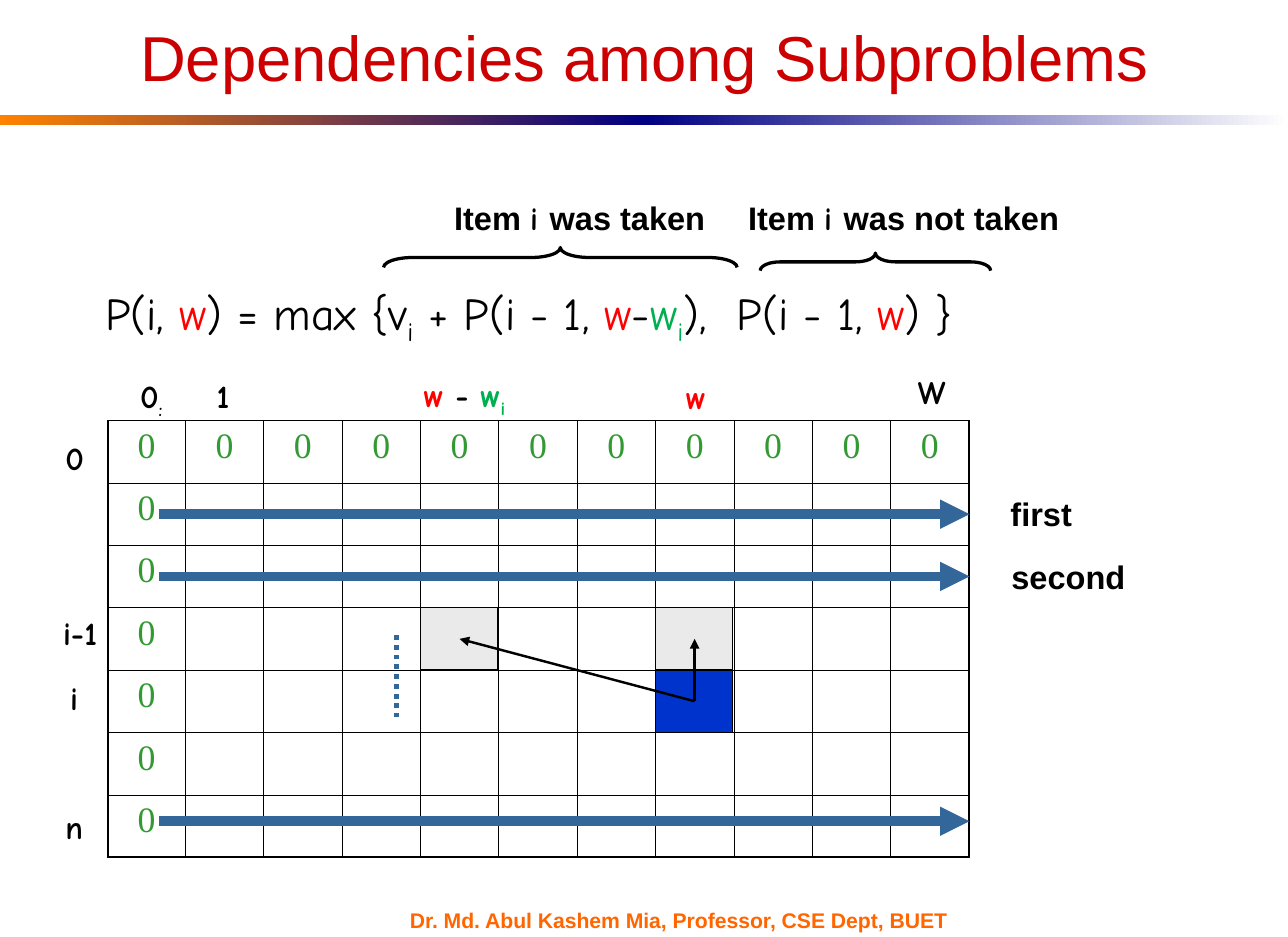
"""Build the slide on dependencies among knapsack subproblems."""
import pptx
import pptx.util
import pptx.dml.color
import pptx.enum.dml
import pptx.enum.shapes
import pptx.enum.text
import pptx.oxml.ns
import lxml.etree

Cm, Pt = pptx.util.Cm, pptx.util.Pt
RGB = pptx.dml.color.RGBColor
SHAPE = pptx.enum.shapes.MSO_SHAPE
ANCHOR = pptx.enum.text.MSO_ANCHOR
ALIGN = pptx.enum.text.PP_ALIGN

BLACK = RGB(0x00, 0x00, 0x00)
WHITE = RGB(0xFF, 0xFF, 0xFF)
RED = RGB(0xFF, 0x00, 0x00)
TITLE_RED = RGB(0xCC, 0x00, 0x00)
GREEN = RGB(0x00, 0xB0, 0x50)
ZERO_GREEN = RGB(0x33, 0x99, 0x33)
ORANGE = RGB(0xFF, 0x66, 0x00)
BAR_ORANGE = RGB(0xFF, 0x82, 0x00)
NAVY = RGB(0x00, 0x00, 0x82)
STEEL = RGB(0x33, 0x66, 0x99)
BLUE = RGB(0x00, 0x33, 0xCC)
GREY = RGB(0xEA, 0xEA, 0xEA)

HAND = dict(name="Comic Neue", size=Pt(20), bold=True, color=BLACK)
SANS = {**HAND, "name": "Arial"}
FORMULA = {**HAND, "size": Pt(28), "bold": False}
FOOTER = {**SANS, "size": Pt(13), "color": ORANGE}
ZERO = dict(name="Times New Roman", size=Pt(22), bold=False, color=ZERO_GREEN)
TITLE = dict(name="Arial", size=Pt(39), bold=False, color=TITLE_RED)

W_RED = ("w", dict(color=RED))
W_GREEN = ("w", dict(color=GREEN))
SUB_GREEN = ("i", dict(color=GREEN, sub=True))
ITEM = [("Item ", {}), ("i ", dict(name="Comic Neue"))]

LABELS = [
    (2.79, 8.03, 1.04, 1.24, HAND, [("0", {}), (":", dict(sub=True))]),
    (4.45, 8.03, 0.84, 1.12, HAND, [("1", {})]),
    (8.94, 8.00, 2.31, 1.24, HAND, [W_RED, (" - ", {}), W_GREEN, SUB_GREEN]),
    (14.63, 8.05, 0.99, 1.12, HAND, [W_RED]),
    (19.66, 7.95, 1.14, 1.12, HAND, [("W", {})]),
    (1.17, 9.37, 0.97, 1.12, HAND, [("0", {})]),
    (1.12, 13.16, 1.30, 1.12, HAND, [("i-1", {})]),
    (1.27, 14.58, 0.74, 1.12, HAND, [("i", {})]),
    (1.17, 17.37, 0.94, 1.12, HAND, [("n", {})]),
    (21.67, 10.59, 1.88, 1.12, SANS, [("first", {})]),
    (21.69, 11.96, 3.02, 1.12, SANS, [("second", {})]),
    (9.60, 4.17, 5.99, 1.12, SANS, ITEM + [("was taken", {})]),
    (15.98, 4.17, 7.29, 1.12, SANS, ITEM + [("was not taken", {})]),
    (2.03, 6.05, 18.90, 2.13, FORMULA, [
        ("P(i, ", {}), W_RED, (") = max {v", {}), ("i", dict(sub=True)),
        (" + P(i - 1, ", {}), W_RED, ("-", {}), W_GREEN, SUB_GREEN,
        ("),  P(i - 1, ", {}), W_RED, (") }", {})]),
    (8.64, 19.56, 12.22, 0.76, FOOTER,
     [("Dr. Md. Abul Kashem Mia, Professor, CSE Dept, BUET", {})]),
]
BARS = [(0, BAR_ORANGE, NAVY), (13.97, NAVY, WHITE)]
BRACES = [(11.94, 1.75, 0.43, 7.67, 1.47), (18.80, 3.18, 0.38, 5.00, 1.13)]
SWEEPS = [11.15, 12.50, 17.81]
GRID_LEFT, GRID_TOP, FIRST_COL, COL, ROW = 2.34, 9.12, 1.68, 1.70, 1.353
ROWS, COLS = 7, 11
TARGET = (4, 7)
SOURCES = [(3, 7), (3, 4)]


def add_runs(p, base, runs):
    for text, extra in runs:
        r = p.add_run()
        r.text = text
        fmt = {**base, **extra}
        r.font.color.rgb = fmt.pop("color")
        if fmt.pop("sub", False):
            r._r.get_or_add_rPr().set("baseline", "-25000")
        for key, value in fmt.items():
            setattr(r.font, key, value)


def add_label(s, left, top, width, height, base, runs):
    tf = s.shapes.add_textbox(Cm(left), Cm(top), Cm(width), Cm(height)).text_frame
    tf.word_wrap = False
    add_runs(tf.paragraphs[0], base, runs)


def add_box(s, kind, left, top, width, height):
    sp = s.shapes.add_shape(kind, Cm(left), Cm(top), Cm(width), Cm(height))
    sp.shadow.inherit = False
    return sp


def add_line(s, start, end, color, width, arrow=True):
    ends = [Cm(v) for v in (*start, *end)]
    line = s.shapes.add_connector(pptx.enum.shapes.MSO_CONNECTOR.STRAIGHT, *ends)
    line.line.color.rgb = color
    line.line.width = Pt(width)
    qn = pptx.oxml.ns.qn
    if arrow:
        lxml.etree.SubElement(line.line._get_or_add_ln(), qn("a:tailEnd"), type="triangle")
    lxml.etree.SubElement(line._element.spPr, qn("a:effectLst"))
    return line


def cell_corner(row, col):
    left = GRID_LEFT + (FIRST_COL + (col - 1) * COL if col else 0)
    return left, GRID_TOP + row * ROW


def cell_center(row, col):
    left, top = cell_corner(row, col)
    return left + COL / 2, top + ROW / 2


def add_cell_box(s, cell, color):
    sp = add_box(s, SHAPE.RECTANGLE, *cell_corner(*cell), FIRST_COL, ROW)
    sp.fill.solid()
    sp.fill.fore_color.rgb = color
    sp.line.color.rgb = BLACK
    sp.line.width = Pt(0.75)


def set_borders(cell, outer_sides):
    qn = pptx.oxml.ns.qn
    tc_pr = cell._tc.get_or_add_tcPr()
    for i, side in enumerate("LRTB"):
        width = Pt(1.08 if side in outer_sides else 0.45)
        ln = lxml.etree.Element(qn("a:ln" + side), w=str(int(width)))
        fill = lxml.etree.SubElement(ln, qn("a:solidFill"))
        lxml.etree.SubElement(fill, qn("a:srgbClr"), val=str(BLACK))
        tc_pr.insert(i, ln)


def add_grid(s):
    width = FIRST_COL + (COLS - 1) * COL
    table = s.shapes.add_table(ROWS, COLS, Cm(GRID_LEFT), Cm(GRID_TOP),
                               Cm(width), Cm(ROWS * ROW)).table
    table.first_row = table.horz_banding = False
    for i, column in enumerate(table.columns):
        column.width = Cm(COL if i else FIRST_COL)
    for i, row in enumerate(table.rows):
        row.height = Cm(ROW)
        for j, cell in enumerate(row.cells):
            cell.fill.background()
            edges = {"L": j == 0, "R": j == COLS - 1, "T": i == 0, "B": i == ROWS - 1}
            set_borders(cell, [side for side, outer in edges.items() if outer])
            if i == 0 or j == 0:
                p = cell.text_frame.paragraphs[0]
                p.alignment = ALIGN.CENTER
                add_runs(p, ZERO, [("0", {})])


def main():
    prs = pptx.Presentation()
    prs.slide_width, prs.slide_height = Cm(27.94), Cm(20.32)
    s = prs.slides.add_slide(prs.slide_layouts[5])

    title = s.shapes.title
    title.left, title.top, title.width, title.height = Cm(1.4), Cm(0.81), Cm(25.15), Cm(1.37)
    tf = title.text_frame
    tf.auto_size = pptx.enum.text.MSO_AUTO_SIZE.NONE
    tf.vertical_anchor = ANCHOR.BOTTOM
    tf.paragraphs[0].alignment = ALIGN.CENTER
    add_runs(tf.paragraphs[0], TITLE, [("Dependencies among Subproblems", {})])

    for left, *colors in BARS:
        bar = add_box(s, SHAPE.RECTANGLE, left, 2.49, 13.97, 0.23)
        bar.line.fill.background()
        bar.fill.gradient()
        bar.fill.gradient_angle = 0
        for stop, color in zip(bar.fill.gradient_stops, colors):
            stop.color.rgb = color

    add_cell_box(s, TARGET, BLUE)
    add_grid(s)
    for cell in SOURCES:
        add_cell_box(s, cell, GREY)
    for cell in SOURCES:
        add_line(s, cell_center(*TARGET), cell_center(*cell), BLACK, 1.5)
    for y in SWEEPS:
        add_line(s, (3.45, y), (21.03, y), STEEL, 6)
    dots = add_line(s, (8.61, 13.77), (8.61, 15.54), STEEL, 3, arrow=False)
    dots.line.dash_style = pptx.enum.dml.MSO_LINE.ROUND_DOT

    for *box, curve in BRACES:
        brace = add_box(s, SHAPE.LEFT_BRACE, *box)
        brace.rotation = 90
        brace.adjustments[0] = curve
        brace.fill.background()
        brace.line.color.rgb = BLACK
        brace.line.width = Pt(2)
    for label in LABELS:
        add_label(s, *label)
    prs.save("out.pptx")


if __name__ == "__main__":
    main()
